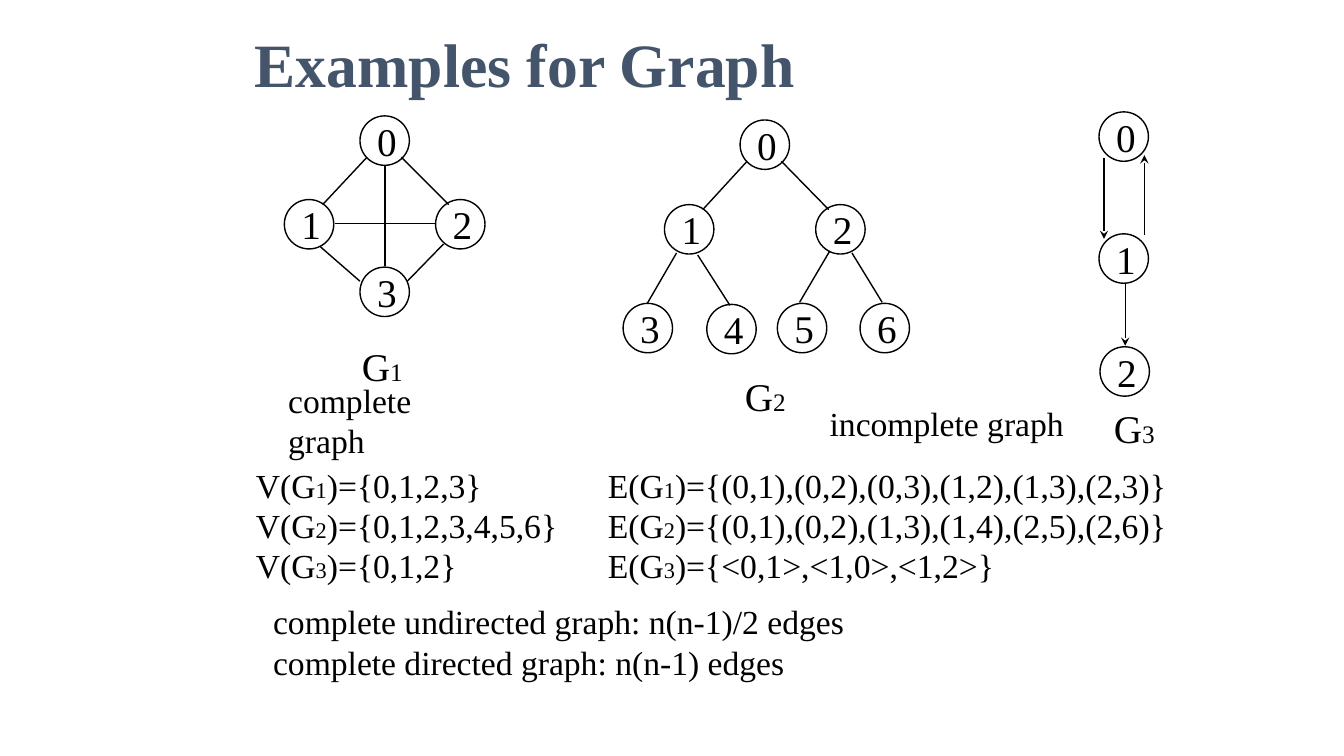
from dataclasses import dataclass

from lxml.etree import SubElement
from pptx import Presentation
from pptx.dml.color import RGBColor
from pptx.enum.shapes import MSO_CONNECTOR as Connector, MSO_SHAPE as Shape
from pptx.enum.text import MSO_ANCHOR as Anchor, MSO_AUTO_SIZE as AutoSize, PP_ALIGN as Align
from pptx.oxml.ns import qn
from pptx.util import Emu, Pt

EMU_PER_PX = 9144


@dataclass(frozen=True)
class Theme:
    font: str = "Times New Roman"
    ink: str = "000000"
    paper: str = "FFFFFF"
    heading: str = "44546A"
    title_size: int = 44
    node_size: int = 28
    name_index_size: int = 18
    body_size: int = 24
    body_index_size: int = 16
    line_width: int = 1
    node_diameter: int = 49


def px(length):
    return Emu(length * EMU_PER_PX)


def rgb(value):
    return RGBColor.from_string(value)


class GraphSlide:
    def __init__(self, deck, theme):
        self.theme = theme
        self.page = deck.slides.add_slide(deck.slide_layouts[6])
        background = self.page.background.fill
        background.solid()
        background.fore_color.rgb = rgb(theme.paper)

    def style(self, span, size, color=None, bold=False):
        span.font.name = self.theme.font
        span.font.size = Pt(size)
        span.font.bold = bold
        span.font.color.rgb = rgb(color or self.theme.ink)

    def stroke(self, line):
        line.color.rgb = rgb(self.theme.ink)
        line.width = Pt(self.theme.line_width)

    def text_box(self, left, top, width, height, anchor):
        box = self.page.shapes.add_textbox(px(left), px(top), px(width), px(height))
        box.text_frame.vertical_anchor = anchor
        box.text_frame.word_wrap = False
        box.text_frame.auto_size = AutoSize.SHAPE_TO_FIT_TEXT
        return box.text_frame

    def title(self, text, left, top, width, height):
        frame = self.text_box(left, top, width, height, Anchor.MIDDLE)
        frame.word_wrap = True
        frame.auto_size = AutoSize.NONE
        frame.text = text
        self.style(frame.paragraphs[0].runs[0], self.theme.title_size, self.theme.heading, True)

    def caption(self, text, left, top, width, height):
        frame = self.text_box(left, top, width, height, Anchor.MIDDLE)
        frame.text = text
        for para in frame.paragraphs:
            self.style(para.runs[0], self.theme.body_size)

    def indexed_text(self, lines, left, top, width, height, size, index_size, tab=None):
        frame = self.text_box(left, top, width, height, Anchor.TOP)
        frame.text = "\n" * (len(lines) - 1)
        for para, line in zip(frame.paragraphs, lines):
            if tab:
                tabs = SubElement(para._p.get_or_add_pPr(), qn("a:tabLst"))
                SubElement(tabs, qn("a:tab"), pos=str(px(tab)), algn="l")
            for position, part in enumerate(line.split("|")):
                if part:
                    span = para.add_run()
                    span.text = part
                    self.style(span, index_size if position % 2 else size)

    def graph_name(self, number, left, top):
        self.indexed_text([f"G|{number}|"], left, top, 61, 57,
                          self.theme.node_size, self.theme.name_index_size)

    def node(self, label, left, top):
        diameter = px(self.theme.node_diameter)
        circle = self.page.shapes.add_shape(Shape.OVAL, px(left), px(top), diameter, diameter)
        circle.shadow.inherit = False
        circle.fill.solid()
        circle.fill.fore_color.rgb = rgb(self.theme.paper)
        self.stroke(circle.line)
        frame = circle.text_frame
        frame.word_wrap = False
        frame.vertical_anchor = Anchor.MIDDLE
        frame.text = str(label)
        para = frame.paragraphs[0]
        para.alignment = Align.LEFT
        self.style(para.runs[0], self.theme.node_size)

    def edge(self, x1, y1, x2, y2, arrow=False):
        line = self.page.shapes.add_connector(Connector.STRAIGHT, px(x1), px(y1), px(x2), px(y2))
        self.stroke(line.line)
        if arrow:
            SubElement(line.line._get_or_add_ln(), qn("a:tailEnd"), type="stealth")
        SubElement(line._element.spPr, qn("a:effectLst"))

    def graph(self, nodes, edges, directed=False):
        for label, (left, top) in enumerate(nodes):
            self.node(label, left, top)
        for ends in edges:
            self.edge(*ends, arrow=directed)


def main():
    deck = Presentation()
    deck.slide_width, deck.slide_height = px(1333), px(750)
    theme = Theme()
    slide = GraphSlide(deck, theme)

    slide.title("Examples for Graph", 243, 0, 924, 125)
    slide.graph(
        nodes=[(357, 115), (282, 198), (432, 198), (357, 265)],
        edges=[(382, 164, 382, 264), (332, 222, 432, 222), (364, 156, 320, 203),
               (398, 156, 445, 203), (318, 245, 357, 279), (440, 242, 404, 279)],
    )
    slide.graph(
        nodes=[(1090, 111), (1090, 232), (1091, 344)],
        edges=[(1116, 282, 1116, 343), (1135, 233, 1135, 154), (1095, 157, 1095, 237)],
        directed=True,
    )
    slide.graph(
        nodes=[(734, 119), (659, 203), (809, 203), (618, 301), (701, 302), (771, 301), (853, 301)],
        edges=[(741, 160, 697, 208), (775, 160, 822, 208), (671, 251, 642, 301),
               (692, 253, 724, 303), (823, 249, 793, 300), (845, 251, 875, 300)],
    )
    for number, (left, top) in enumerate([(349, 335), (729, 364), (1095, 396)], start=1):
        slide.graph_name(number, left, top)

    slide.indexed_text(
        ["V(G|1|)={0,1,2,3}\tE(G|1|)={(0,1),(0,2),(0,3),(1,2),(1,3),(2,3)}",
         "V(G|2|)={0,1,2,3,4,5,6}\tE(G|2|)={(0,1),(0,2),(1,3),(1,4),(2,5),(2,6)}",
         "V(G|3|)={0,1,2}\tE(G|3|)={<0,1>,<1,0>,<1,2>}"],
        244, 456, 932, 131, theme.body_size, theme.body_index_size, tab=349)
    slide.caption("complete undirected graph: n(n-1)/2 edges\ncomplete directed graph: n(n-1) edges",
                  261, 591, 592, 91)
    slide.caption("complete graph", 276, 392, 226, 50)
    slide.caption("incomplete graph", 813, 395, 252, 50)

    deck.save("out.pptx")


if __name__ == "__main__":
    main()
